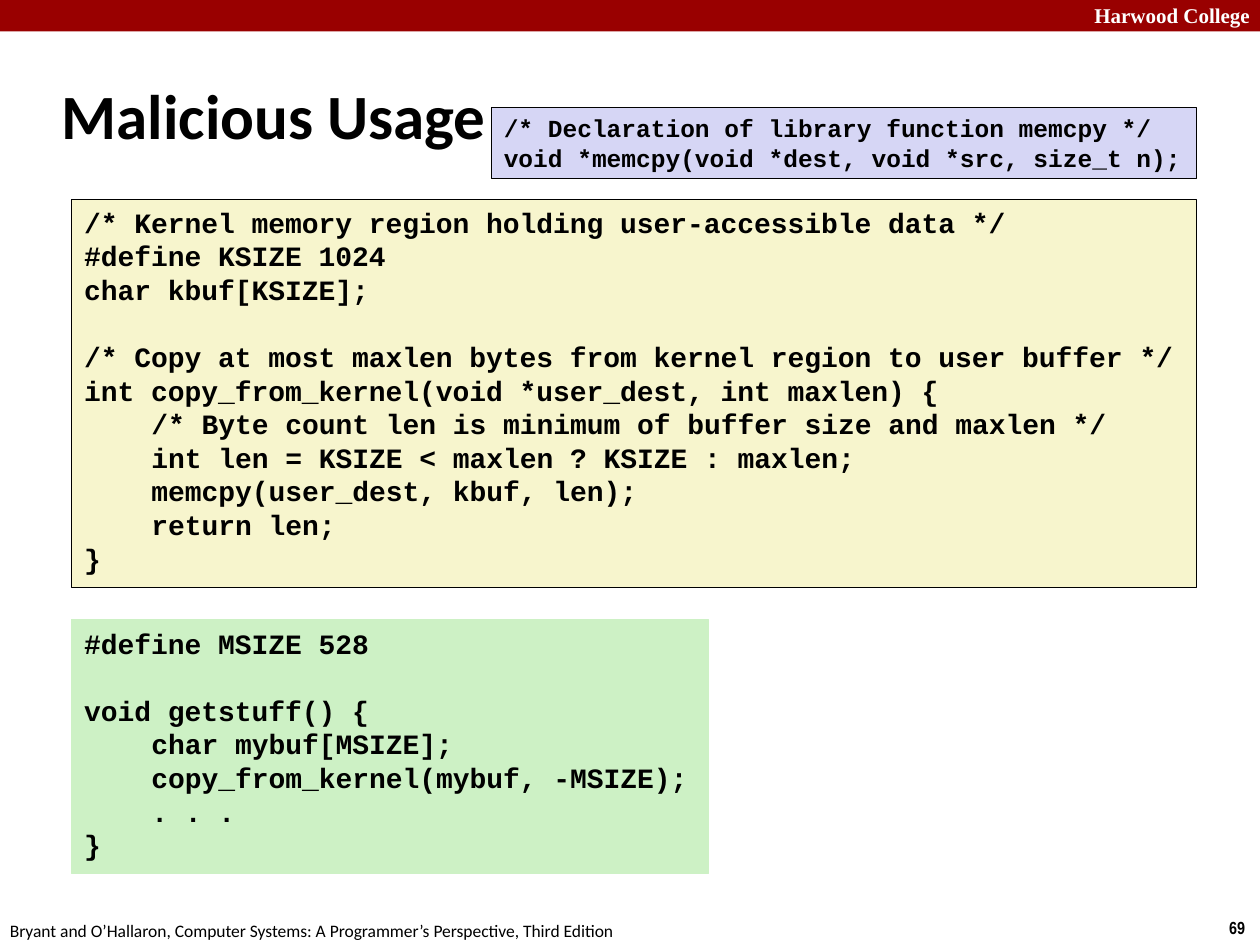
import pptx
import pptx.util
import pptx.dml.color
import pptx.enum.shapes
import pptx.enum.text

Inches = pptx.util.Inches
ALIGN = pptx.enum.text.PP_ALIGN
ANCHOR = pptx.enum.text.MSO_ANCHOR

COLORS = {
    "banner": "990000", "white": "FFFFFF", "black": "000000",
    "kernel": "F7F5CD", "attack": "CDF1C5", "library": "D6D6F5",
}

TITLE = "Malicious Usage"

LABELS = [
    ("Harwood College", (8.02, -0.03, 2, 0.3), "white", ALIGN.RIGHT,
     {"name": "Times New Roman", "size": 12, "bold": True}),
    ("69", (9.62, 7.23, 0.36, 0.27), "black", ALIGN.RIGHT,
     {"name": "Arial Narrow", "size": 10, "bold": True}),
    ("Bryant and O’Hallaron, Computer Systems: A Programmer’s Perspective, Third Edition",
     (-0.02, 7.25, 5.2, 0.27), "black", ALIGN.LEFT,
     {"name": "Calibri", "size": 10, "bold": False}),
]

KERNEL_CODE = """\
/* Kernel memory region holding user-accessible data */
#define KSIZE 1024
char kbuf[KSIZE];

/* Copy at most maxlen bytes from kernel region to user buffer */
int copy_from_kernel(void *user_dest, int maxlen) {
    /* Byte count len is minimum of buffer size and maxlen */
    int len = KSIZE < maxlen ? KSIZE : maxlen;
    memcpy(user_dest, kbuf, len);
    return len;
}"""

ATTACK_CODE = """\
#define MSIZE 528

void getstuff() {
    char mybuf[MSIZE];
    copy_from_kernel(mybuf, -MSIZE);
    . . .
}"""

LIBRARY_CODE = """\
/* Declaration of library function memcpy */
void *memcpy(void *dest, void *src, size_t n);"""

CODE_BOXES = [
    (KERNEL_CODE, (0.57, 1.58, 8.93, 3.08), "kernel", "black", 16),
    (ATTACK_CODE, (0.57, 4.92, 5.05, 2.01), "attack", "attack", 16),
    (LIBRARY_CODE, (3.9, 0.85, 5.6, 0.57), "library", "black", 14),
]

CHAR_WIDTH = 0.6
LINE_HEIGHT = 1.2


def rgb(name):
    return pptx.dml.color.RGBColor.from_string(COLORS[name])


def add_run(p, text, color, font):
    r = p.add_run()
    r.text = text
    for key, value in font.items():
        setattr(r.font, key, pptx.util.Pt(value) if key == "size" else value)
    r.font.color.rgb = rgb(color)


def add_rect(s, box, fill, line=None):
    sp = s.shapes.add_shape(pptx.enum.shapes.MSO_SHAPE.RECTANGLE, *map(Inches, box))
    sp.shadow.inherit = False
    sp.fill.solid()
    sp.fill.fore_color.rgb = rgb(fill)
    if line:
        sp.line.color.rgb = rgb(line)
        sp.line.width = pptx.util.Pt(0.5)
    else:
        sp.line.fill.background()
    return sp


def add_label(s, text, box, color, align, font):
    tf = s.shapes.add_textbox(*map(Inches, box)).text_frame
    tf.word_wrap = True
    p = tf.paragraphs[0]
    p.alignment = align
    add_run(p, text, color, font)


def add_code(s, code, box, fill, line, size):
    tf = add_rect(s, box, fill, line).text_frame
    tf.word_wrap = True
    tf.vertical_anchor = ANCHOR.TOP
    font = {"name": "Courier New", "size": size, "bold": True}
    p, gap = tf.paragraphs[0], 0
    for number, row in enumerate(code.split("\n")):
        text = row.lstrip()
        if not text:
            gap += size * LINE_HEIGHT
            continue
        if number:
            p = tf.add_paragraph()
        p.alignment = ALIGN.LEFT
        p.space_before = pptx.util.Pt(gap)
        indent = pptx.util.Pt((len(row) - len(text)) * CHAR_WIDTH * size)
        p._p.get_or_add_pPr().set("marL", str(indent))
        add_run(p, text, "black", font)
        gap = 0


def add_title(s):
    sp = s.shapes.title
    for key, value in zip(("left", "top", "width", "height"), (0.39, 0.49, 8.3, 0.83)):
        setattr(sp, key, Inches(value))
    tf = sp.text_frame
    tf.vertical_anchor = ANCHOR.MIDDLE
    p = tf.paragraphs[0]
    p.alignment = ALIGN.LEFT
    add_run(p, TITLE, "black", {"name": "Calibri", "size": 36, "bold": True})


def main():
    prs = pptx.Presentation()
    prs.slide_width, prs.slide_height = Inches(10), Inches(7.5)
    s = prs.slides.add_slide(prs.slide_layouts[5])
    add_title(s)
    add_rect(s, (0, 0, 10, 0.25), "banner")
    for label in LABELS:
        add_label(s, *label)
    for code_box in CODE_BOXES:
        add_code(s, *code_box)
    prs.save("out.pptx")


if __name__ == "__main__":
    main()
